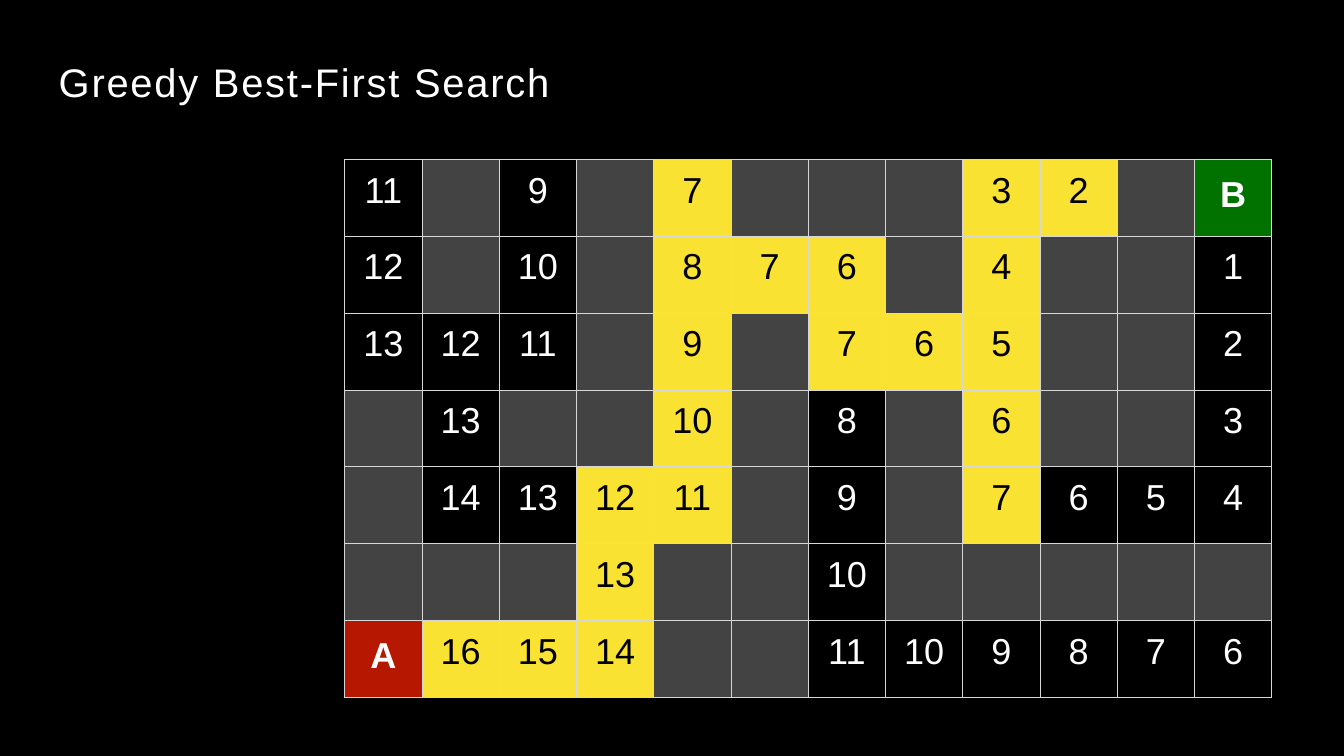
from lxml import etree
from pptx import Presentation
from pptx.dml.color import RGBColor
from pptx.enum.text import MSO_ANCHOR, MSO_AUTO_SIZE, PP_ALIGN
from pptx.oxml.ns import qn
from pptx.util import Cm, Pt

CENTER, LEFT = PP_ALIGN.CENTER, PP_ALIGN.LEFT
TOP, FIXED = MSO_ANCHOR.TOP, MSO_AUTO_SIZE.NONE
FONT = "Arial"
COLORS = {"open": "000000", "wall": "434343", "path": "FAE232",
          "start": "B51700", "goal": "017100", "line": "D6D7D6",
          "light": "FFFFFF", "dark": "000000"}
ENDS = {"A": "start", "B": "goal"}
MAZE = [row.split() for row in (
    "11 # 9 # 7* # # # 3* 2* # B",
    "12 # 10 # 8* 7* 6* # 4* # # 1",
    "13 12 11 # 9* # 7* 6* 5* # # 2",
    "# 13 # # 10* # 8 # 6* # # 3",
    "# 14 13 12* 11* # 9 # 7* 6 5 4",
    "# # # 13* # # 10 # # # # #",
    "A 16* 15* 14* # # 11 10 9 8 7 6",
)]


def rgb(name):
    return RGBColor.from_string(COLORS[name])


def style(font, size, color, bold=False):
    font.name = FONT
    font.size = Pt(size)
    font.bold = bold
    font.color.rgb = rgb(color)


def add_title(slide, text, left, top, width, height):
    title = slide.shapes.title
    title.left, title.top = Cm(left), Cm(top)
    title.width, title.height = Cm(width), Cm(height)
    frame = title.text_frame
    frame.auto_size = FIXED
    frame.word_wrap = True
    frame.vertical_anchor = TOP
    frame.margin_left = frame.margin_right = frame.margin_bottom = 0
    frame.margin_top = Cm(0.2)
    frame.text = text
    para = frame.paragraphs[0]
    para.alignment = LEFT
    para.line_spacing = 1.0
    run = para.runs[0]
    style(run.font, 47, "light")
    run.font._element.set("spc", "210")


def add_lines(cell):
    props = cell._tc.get_or_add_tcPr()
    for side in ("lnL", "lnR", "lnT", "lnB"):
        line = etree.SubElement(props, qn("a:" + side), w=str(Pt(1)))
        fill = etree.SubElement(line, qn("a:solidFill"))
        etree.SubElement(fill, qn("a:srgbClr"), val=COLORS["line"])


def fill_cell(cell, mark):
    on_path = mark.endswith("*")
    kind = "wall" if mark == "#" else "path" if on_path else ENDS.get(mark, "open")
    add_lines(cell)
    cell.fill.solid()
    cell.fill.fore_color.rgb = rgb(kind)
    if kind == "wall":
        return
    is_end = mark in ENDS
    cell.margin_left = cell.margin_right = cell.margin_bottom = 0
    cell.margin_top = Cm(0.65 if is_end else 0.46)
    cell.vertical_anchor = TOP
    cell.text_frame.text = mark.rstrip("*")
    para = cell.text_frame.paragraphs[0]
    para.alignment = CENTER
    style(para.runs[0].font, 42.5, "dark" if on_path else "light", is_end)


def add_maze(slide, maze, left, top, width, height):
    rows, cols = len(maze), len(maze[0])
    table = slide.shapes.add_table(
        rows, cols, Cm(left), Cm(top), Cm(width), Cm(height)).table
    table.first_row = table.horz_banding = False
    for col in table.columns:
        col.width = Cm(width / cols)
    for row in table.rows:
        row.height = Cm(height / rows)
    for r, marks in enumerate(maze):
        for c, mark in enumerate(marks):
            fill_cell(table.cell(r, c), mark)


def main():
    deck = Presentation()
    deck.slide_width, deck.slide_height = Cm(55.85), Cm(31.42)
    slide = deck.slides.add_slide(deck.slide_layouts[5])
    back = slide.background.fill
    back.solid()
    back.fore_color.rgb = rgb("open")
    add_title(slide, "Greedy Best-First Search", 2.44, 2.18, 21, 2.06)
    add_maze(slide, MAZE, 14.33, 6.63, 38.52, 22.35)
    deck.save("out.pptx")


if __name__ == "__main__":
    main()
